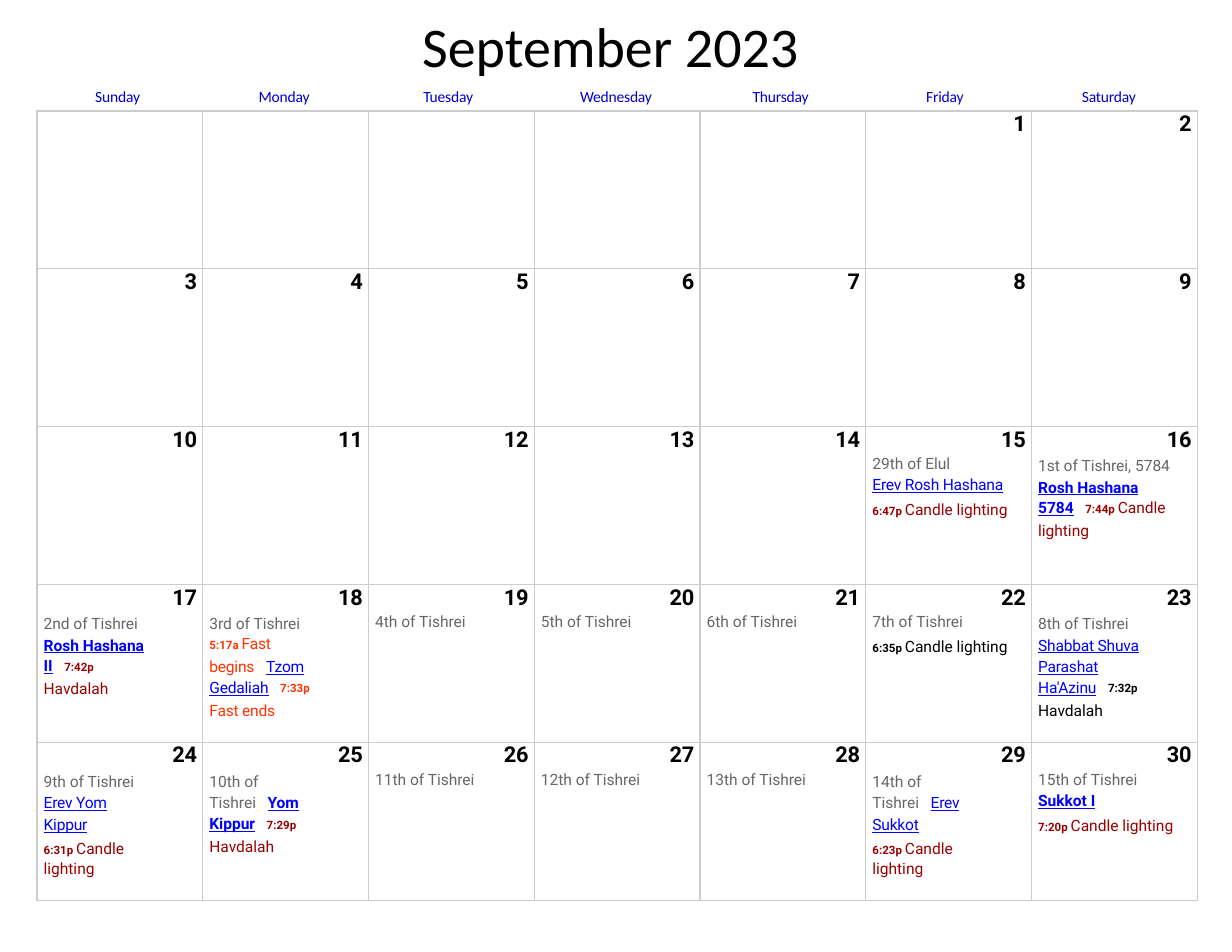
from lxml.etree import SubElement
from pptx import Presentation
from pptx.dml.color import RGBColor
from pptx.enum.text import PP_ALIGN
from pptx.oxml.ns import qn
from pptx.util import Inches, Pt

BLACK = RGBColor(0x00, 0x00, 0x00)
GRAY = RGBColor(0x66, 0x66, 0x66)
NAVY = RGBColor(0x00, 0x00, 0xCC)
BLUE = RGBColor(0x00, 0x00, 0xFF)
MAROON = RGBColor(0x99, 0x00, 0x00)
ORANGE = RGBColor(0xFF, 0x33, 0x00)
GRID = "CCCCCC"

# Span styles: colour, size, bold, underline, letter spacing, baseline percent
STYLES = {
    "number": (BLACK, 14, True, False, -0.2, 0),
    "date": (GRAY, 10, False, False, 0, 0),
    "feast": (BLUE, 10, True, True, 0, 0),
    "event": (BLUE, 10, False, True, -0.1, 0),
    "gap": (MAROON, 10, False, False, 5, 0),
    "time": (MAROON, 12.8, True, False, 0, 3),
    "note": (MAROON, 10, False, False, 0, 0),
    "fast time": (ORANGE, 12.8, True, False, 0, 3),
    "fast": (ORANGE, 10, False, False, -0.1, 0),
    "black time": (BLACK, 12.8, True, False, 0, 3),
    "black note": (BLACK, 10, False, False, 0, 0),
}

# Paragraph layouts: points before, exact line height in points, right indent in inches
LAYOUTS = {
    "number": (0, 16.6, 0.05),
    "date": (1.6, None, 0),
    "line": (2, None, 0),
    "narrow line": (1.2, None, 0.48),
    "wide flow": (0.5, 14, 0.23),
    "flow": (0.5, 14, 0.48),
    "tight flow": (0.5, 14, 0.58),
}

GAP = ("gap", " ")


def date_line(text):
    return ("date", [("date", text)])


def candles(time, layout="line", prefix=""):
    return (layout, [(prefix + "time", time + " "), (prefix + "note", "Candle lighting")])


EVENTS = {
    15: [date_line("29th of Elul"),
         ("line", [("event", "Erev Rosh Hashana")]),
         candles("6:47p")],
    16: [("wide flow", [("date", "1st of Tishrei, 5784 "), ("feast", "Rosh Hashana 5784"), GAP,
                        ("time", "7:44p "), ("note", "Candle lighting")])],
    17: [("flow", [("date", "2nd of Tishrei "), ("feast", "Rosh Hashana II"), GAP,
                   ("time", "7:42p "), ("note", "Havdalah")])],
    18: [("flow", [("date", "3rd of Tishrei "), ("fast time", "5:17a "), ("fast", "Fast begins"),
                   GAP, ("event", "Tzom Gedaliah"), GAP,
                   ("fast time", "7:33p "), ("fast", "Fast ends")])],
    19: [date_line("4th of Tishrei")],
    20: [date_line("5th of Tishrei")],
    21: [date_line("6th of Tishrei")],
    22: [date_line("7th of Tishrei"), candles("6:35p", prefix="black ")],
    23: [("flow", [("date", "8th of Tishrei "), ("event", "Shabbat Shuva"), GAP,
                   ("event", "Parashat Ha'Azinu"), GAP,
                   ("black time", "7:32p "), ("black note", "Havdalah")])],
    24: [("flow", [("date", "9th of Tishrei "), ("event", "Erev Yom Kippur")]),
         candles("6:31p", "narrow line")],
    25: [("tight flow", [("date", "10th of Tishrei"), GAP, ("feast", "Yom Kippur"), GAP,
                         ("time", "7:29p "), ("note", "Havdalah")])],
    26: [date_line("11th of Tishrei")],
    27: [date_line("12th of Tishrei")],
    28: [date_line("13th of Tishrei")],
    29: [("tight flow", [("date", "14th of Tishrei"), GAP, ("event", "Erev Sukkot")]),
         candles("6:23p", "narrow line")],
    30: [date_line("15th of Tishrei"),
         ("line", [("feast", "Sukkot I")]),
         candles("7:20p")],
}

TITLE = "September 2023"
MIDWEEK = "Tuesday\tWednesday\tThursday"
MIDWEEK_TABS = (1.4, 2.94)
# Outer weekday labels: text, left, width
OUTER_DAYS = [("Sunday", 0.84, 0.47), ("Monday", 2.3, 0.49),
              ("Friday", 8.26, 0.39), ("Saturday", 9.65, 0.55)]

FIRST_COLUMN, DAY_COUNT = 5, 30
ROWS, COLUMNS = 5, 7
TABLE_LEFT, TABLE_TOP = 0.33, 0.99
CELL_WIDTH, CELL_HEIGHT = 1.48, 1.41


def add_span(para, text, font, size, color, bold=False, underline=False, spacing=0, baseline=0):
    span = para.add_run()
    span.text = text
    span.font.name = font
    span.font.size = Pt(size)
    span.font.bold = bold
    span.font.underline = underline
    span.font.color.rgb = color
    props = span.font._element
    if spacing:
        props.set("spc", str(round(spacing * 100)))
    if baseline:
        props.set("baseline", str(baseline * 1000))


def add_label(page, left, top, width, height, inset):
    box = page.shapes.add_textbox(Inches(left), Inches(top), Inches(width), Inches(height))
    frame = box.text_frame
    frame.word_wrap = True
    frame.margin_left = frame.margin_right = frame.margin_bottom = 0
    frame.margin_top = Inches(inset)
    return frame


def add_weekday(para, text):
    para._p.get_or_add_pPr().set("marL", str(Inches(0.01)))
    add_span(para, text, "Calibri", 10, NAVY, spacing=-0.1)


def add_heading(page):
    frame = add_label(page, 3.77, -0.19, 3.6, 1.15, 0.29)
    title = frame.paragraphs[0]
    title.space_before = Pt(21.2)
    add_span(title, TITLE, "Calibri", 36, BLACK)
    midweek = frame.add_paragraph()
    midweek.space_before = Pt(5.6)
    add_weekday(midweek, MIDWEEK)
    tabs = SubElement(midweek._p.get_or_add_pPr(), qn("a:tabLst"))
    for stop in MIDWEEK_TABS:
        SubElement(tabs, qn("a:tab"), pos=str(Inches(stop)), algn="l")

    for text, left, width in OUTER_DAYS:
        frame = add_label(page, left, 0.77, width + 0.05, 0.18, 0.01)
        para = frame.paragraphs[0]
        para.space_before = Pt(1)
        add_weekday(para, text)


def style_cell(cell):
    cell.margin_left = cell.margin_right = cell.margin_top = cell.margin_bottom = 0
    props = cell._tc.get_or_add_tcPr()
    for side in ("lnL", "lnR", "lnT", "lnB"):
        line = SubElement(props, qn("a:" + side), w=str(Pt(1)))
        fill = SubElement(line, qn("a:solidFill"))
        SubElement(fill, qn("a:srgbClr"), val=GRID)
    cell.fill.background()


def fill_para(para, layout, spans):
    before, line_height, right = LAYOUTS[layout]
    para.space_before = Pt(before)
    if line_height:
        para.line_spacing = Pt(line_height)
    props = para._p.get_or_add_pPr()
    props.set("marR", str(Inches(right)))
    if layout == "number":
        para.alignment = PP_ALIGN.RIGHT
    else:
        props.set("marL", str(Inches(0.06)))
    for style, text in spans:
        color, size, bold, underline, spacing, baseline = STYLES[style]
        add_span(para, text, "Roboto", size, color, bold, underline, spacing, baseline)


def add_calendar(page):
    table = page.shapes.add_table(
        ROWS, COLUMNS, Inches(TABLE_LEFT), Inches(TABLE_TOP),
        Inches(CELL_WIDTH * COLUMNS), Inches(CELL_HEIGHT * ROWS)).table
    table.first_row = table.horz_banding = False
    for cell in table.iter_cells():
        style_cell(cell)
    for day in range(1, DAY_COUNT + 1):
        frame = table.cell(*divmod(FIRST_COLUMN + day - 1, COLUMNS)).text_frame
        fill_para(frame.paragraphs[0], "number", [("number", str(day))])
        for layout, spans in EVENTS.get(day, []):
            fill_para(frame.add_paragraph(), layout, spans)


def main():
    deck = Presentation()
    deck.slide_width, deck.slide_height = Inches(11), Inches(8.5)
    page = deck.slides.add_slide(deck.slide_layouts[6])
    add_heading(page)
    add_calendar(page)
    deck.save("out.pptx")


if __name__ == "__main__":
    main()
